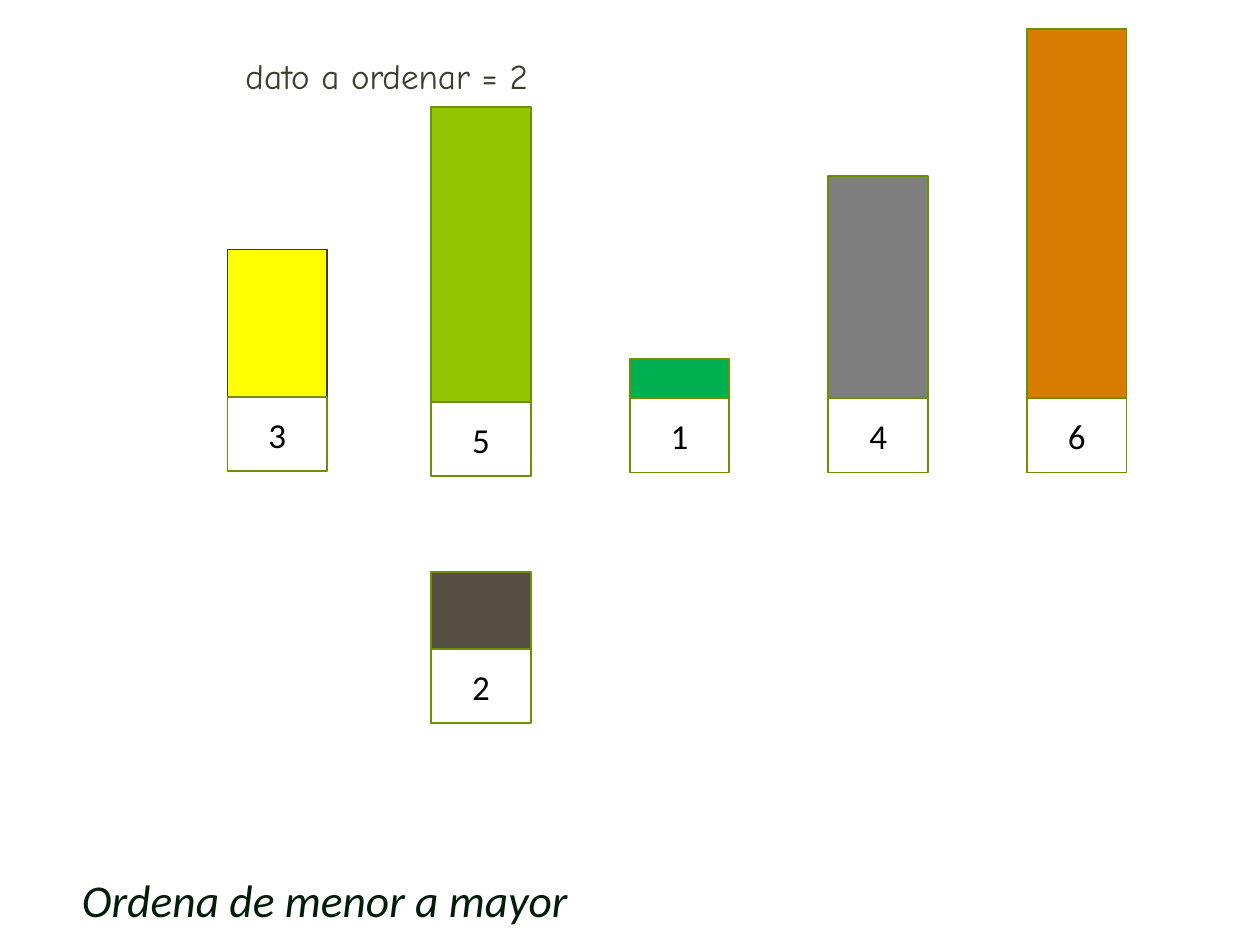
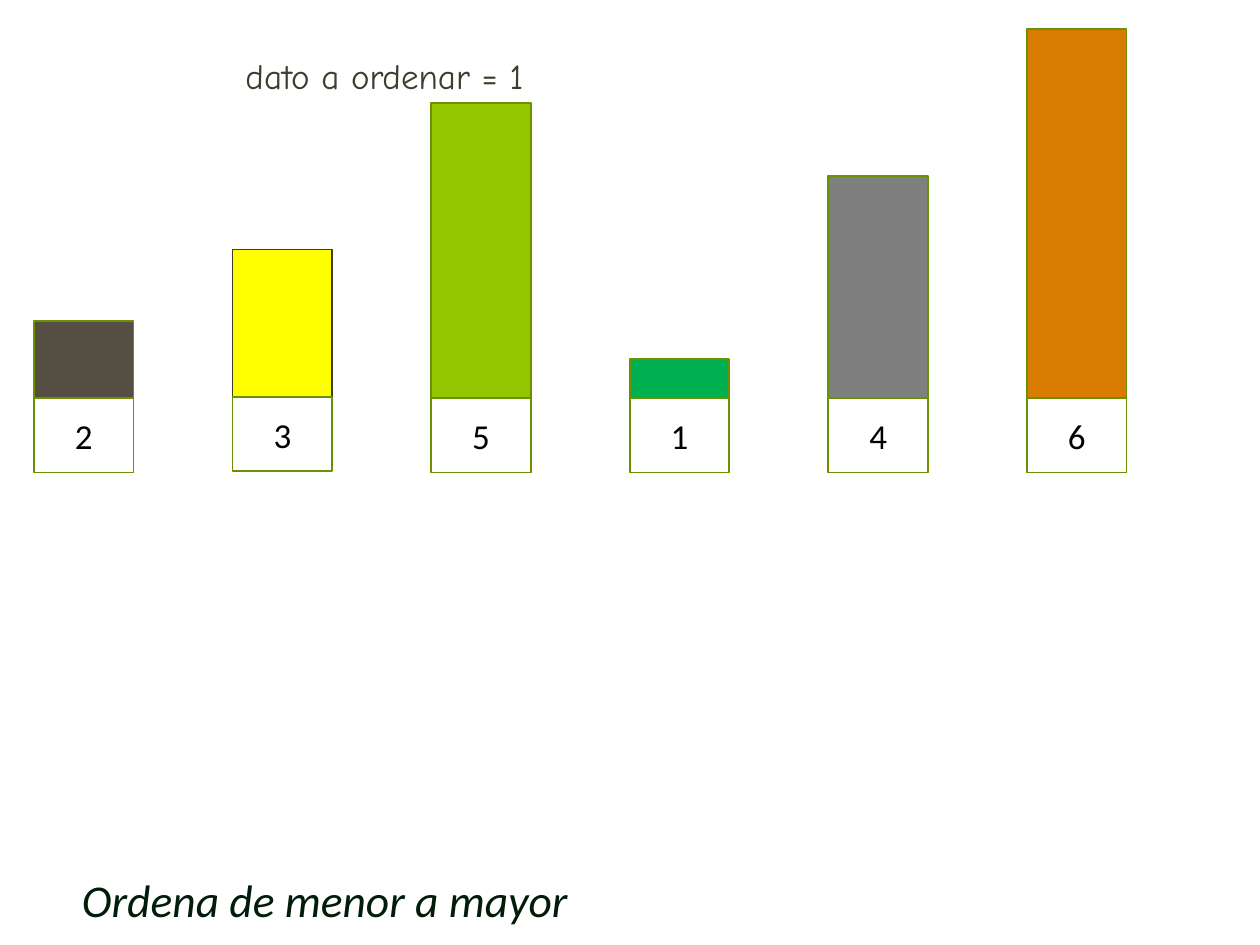
"""Build two slides that show steps of an insertion sort with numbered bars."""
from dataclasses import dataclass

from pptx import Presentation
from pptx import util as u
from pptx.dml.color import RGBColor
from pptx.enum import shapes, text

TITLE = "Ordena de menor a mayor"
BARS = {
    1: {"height": 0.31, "fill": "00B050"},
    2: {"height": 0.61, "fill": "554E43"},
    3: {"height": 1.17, "fill": "FFFF00", "line": "3E3D2D"},
    4: {"height": 1.76, "fill": "7F7F7F"},
    5: {"height": 2.34, "fill": "94C600"},
    6: {"height": 2.93, "fill": "D77C01"},
}
STEPS = [
    {
        "caption": "dato a ordenar = 2",
        "order": [None, 3, 5, 1, 4, 6],
        "nudges": {3: (-0.04, -0.01), 5: (0, 0.03)},
        "lifted": {2: 2},
    },
    {
        "caption": "dato a ordenar = 1",
        "order": [2, 3, 5, 1, 4, 6],
        "nudges": {3: (0, -0.01)},
        "lifted": {},
    },
]


@dataclass(frozen=True)
class Theme:
    """Colours and text formats shared by the slides."""
    outline: str = "6B9100"
    line_width: float = 1
    title = {"name": "Calibri", "size": u.Pt(26), "italic": True, "color": "011D09"}
    caption = {"name": "Comic Neue", "size": u.Pt(20), "color": "3E3D2D"}
    number = {"name": "Calibri", "size": u.Pt(20), "color": "000000"}


THEME = Theme()
SLIDE_SIZE = (10, 7.5)
TITLE_AREA = (0.55, 6.87, 4.17, 0.54)
CAPTION_AREA = (1.85, 0.38, 3.7, 0.44)
FIRST_LEFT, LAST_LEFT = 0.27, 8.15
BAR_WIDTH, LABEL_HEIGHT = 0.79, 0.59
ROW_BASE, LIFTED_BASE = 3.16, 5.15


def inches(values):
    """Convert numbers to lengths."""
    return [u.Inches(value) for value in values]


def place(box, area):
    """Move and size a box."""
    box.left, box.top, box.width, box.height = inches(area)


def write(box, words, style, align, anchor):
    """Put one formatted paragraph in a box."""
    frame = box.text_frame
    frame.text = words
    frame.word_wrap = True
    frame.vertical_anchor = anchor
    para = frame.paragraphs[0]
    para.alignment = align
    for name, value in style.items():
        if name == "color":
            para.font.color.rgb = RGBColor.from_string(value)
        else:
            setattr(para.font, name, value)


def write_line(box, words, style, area):
    """Fill a left-aligned box that grows with its text."""
    write(box, words, style, text.PP_ALIGN.LEFT, text.MSO_ANCHOR.TOP)
    box.text_frame.auto_size = text.MSO_AUTO_SIZE.SHAPE_TO_FIT_TEXT
    place(box, area)


def add_rectangle(group, area, line, fill=None):
    """Add an outlined rectangle to a group."""
    box = group.shapes.add_shape(shapes.MSO_SHAPE.RECTANGLE, *inches(area))
    box.shadow.inherit = False
    box.line.color.rgb = RGBColor.from_string(line)
    box.line.width = u.Pt(THEME.line_width)
    if fill:
        box.fill.solid()
        box.fill.fore_color.rgb = RGBColor.from_string(fill)
    else:
        box.fill.background()
    return box


def add_bar(page, number, slot, base, nudge=(0, 0)):
    """Add a bar standing on its number label."""
    bar = BARS[number]
    step = (LAST_LEFT - FIRST_LEFT) / 5
    left = FIRST_LEFT + slot * step + nudge[0]
    base += nudge[1]
    group = page.shapes.add_group_shape()
    add_rectangle(group, (left, base - bar["height"], BAR_WIDTH, bar["height"]),
                  bar.get("line", THEME.outline), bar["fill"])
    label = add_rectangle(group, (left, base, BAR_WIDTH, LABEL_HEIGHT), THEME.outline)
    write(label, str(number), THEME.number, text.PP_ALIGN.CENTER, text.MSO_ANCHOR.MIDDLE)


def add_step(deck, step):
    """Add one slide of the sort."""
    page = deck.slides.add_slide(deck.slide_layouts.get_by_name("Title Only"))
    write_line(page.shapes.title, TITLE, THEME.title, TITLE_AREA)
    for slot, number in enumerate(step["order"]):
        if number:
            add_bar(page, number, slot, ROW_BASE, step["nudges"].get(number, (0, 0)))
    for number, slot in step["lifted"].items():
        add_bar(page, number, slot, LIFTED_BASE)
    caption = page.shapes.add_textbox(*inches(CAPTION_AREA))
    write_line(caption, step["caption"], THEME.caption, CAPTION_AREA)


def main():
    """Build and save the deck."""
    deck = Presentation()
    deck.slide_width, deck.slide_height = inches(SLIDE_SIZE)
    for step in STEPS:
        add_step(deck, step)
    deck.save("out.pptx")


if __name__ == "__main__":
    main()
